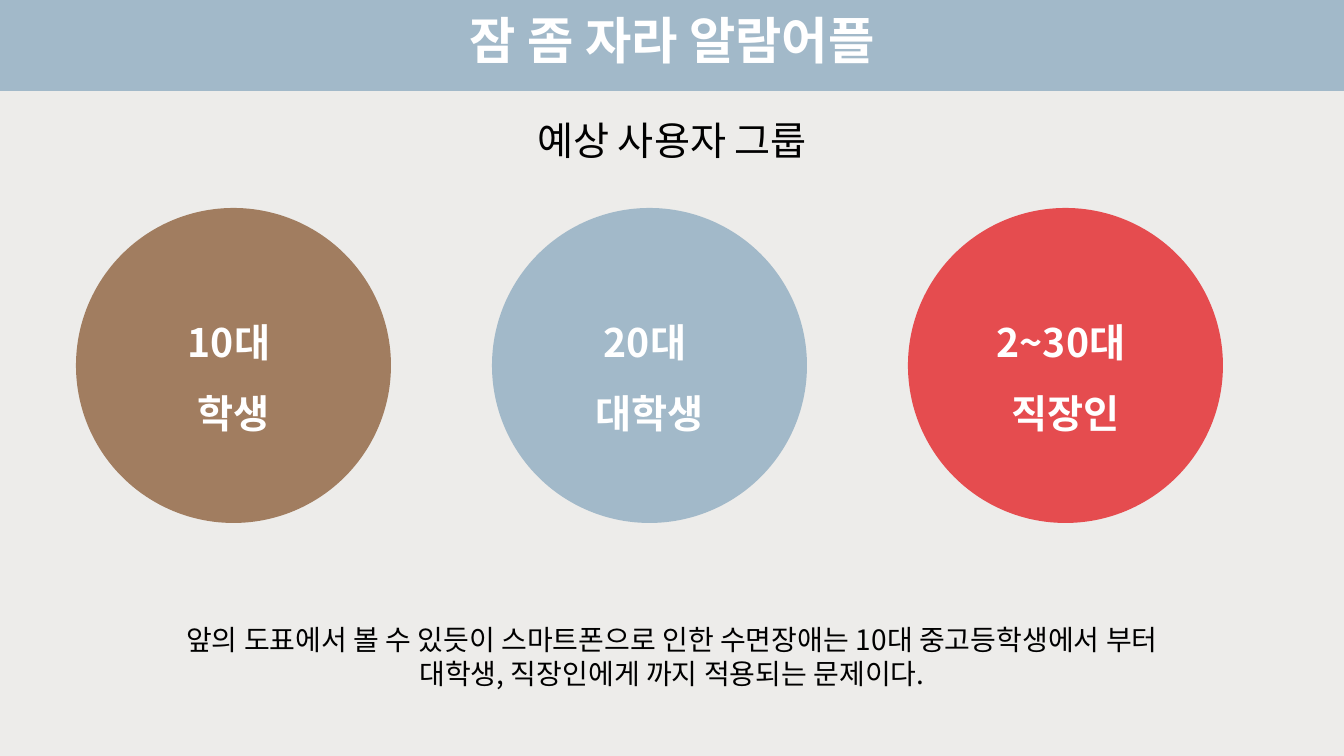
from lxml.etree import SubElement
from pptx import Presentation
from pptx.dml.color import RGBColor as RGB
from pptx.enum.shapes import MSO_SHAPE as Shape
from pptx.enum.text import MSO_ANCHOR as Anchor, MSO_AUTO_SIZE as AutoSize, PP_ALIGN as Align
from pptx.oxml.ns import qn
from pptx.util import Pt

PX = 12192000 / 1344
FONT = "Noto Sans CJK KR"
COLORS = {
    "paper": "EDECEA",
    "blue": "A2B9C9",
    "brown": "A17D60",
    "red": "E54C4F",
    "white": "FFFFFF",
    "black": "000000",
}


def color(name):
    return RGB.from_string(COLORS[name])


def px(*lengths):
    return [round(length * PX) for length in lengths]


def write(frame, text, size=28, ink="black", bold=False, spacing=None):
    frame.word_wrap = True
    for number, line in enumerate(text.split("\n")):
        paragraph = frame.add_paragraph() if number else frame.paragraphs[0]
        paragraph.alignment = Align.CENTER
        if spacing:
            paragraph.line_spacing = spacing
        run = paragraph.add_run()
        run.text = line
        run.font.size = Pt(size)
        run.font.bold = bold
        run.font.color.rgb = color(ink)
        run.font.name = FONT
        SubElement(run.font._element, qn("a:ea"), typeface=FONT)


deck = Presentation()
deck.slide_width, deck.slide_height = px(1344, 756)
slide = deck.slides.add_slide(deck.slide_layouts[6])

backdrop = slide.background.fill
backdrop.gradient()
backdrop.gradient_angle = 90
for stop, name in zip(backdrop.gradient_stops, ("paper", "blue")):
    stop.color.rgb = color(name)
    stop.position = 0.88

age_groups = [
    ("10대 \n학생", "brown"),
    ("20대 \n대학생", "blue"),
    ("2~30대 \n직장인", "red"),
]
for column, (label, fill) in enumerate(age_groups):
    circle = slide.shapes.add_shape(Shape.OVAL, *px(76 + 416 * column, 208, 315, 315))
    circle.shadow.inherit = False
    circle.fill.solid()
    circle.fill.fore_color.rgb = color(fill)
    circle.line.fill.background()
    circle.text_frame.vertical_anchor = Anchor.MIDDLE
    write(circle.text_frame, label, ink="white", bold=True, spacing=1.5)

captions = [
    ((297, 4, 750, 71), "잠 좀 자라 알람어플", {"size": 36, "ink": "white", "bold": True}),
    ((0, 111, 1344, 58), "예상 사용자 그룹", {}),
    (
        (0, 618, 1344, 78),
        "앞의 도표에서 볼 수 있듯이 스마트폰으로 인한 수면장애는 10대 중고등학생에서 부터\n"
        "대학생, 직장인에게 까지 적용되는 문제이다.",
        {"size": 20},
    ),
]
for box, text, style in captions:
    caption = slide.shapes.add_textbox(*px(*box)).text_frame
    write(caption, text, **style)
    caption.auto_size = AutoSize.SHAPE_TO_FIT_TEXT

deck.save("out.pptx")
